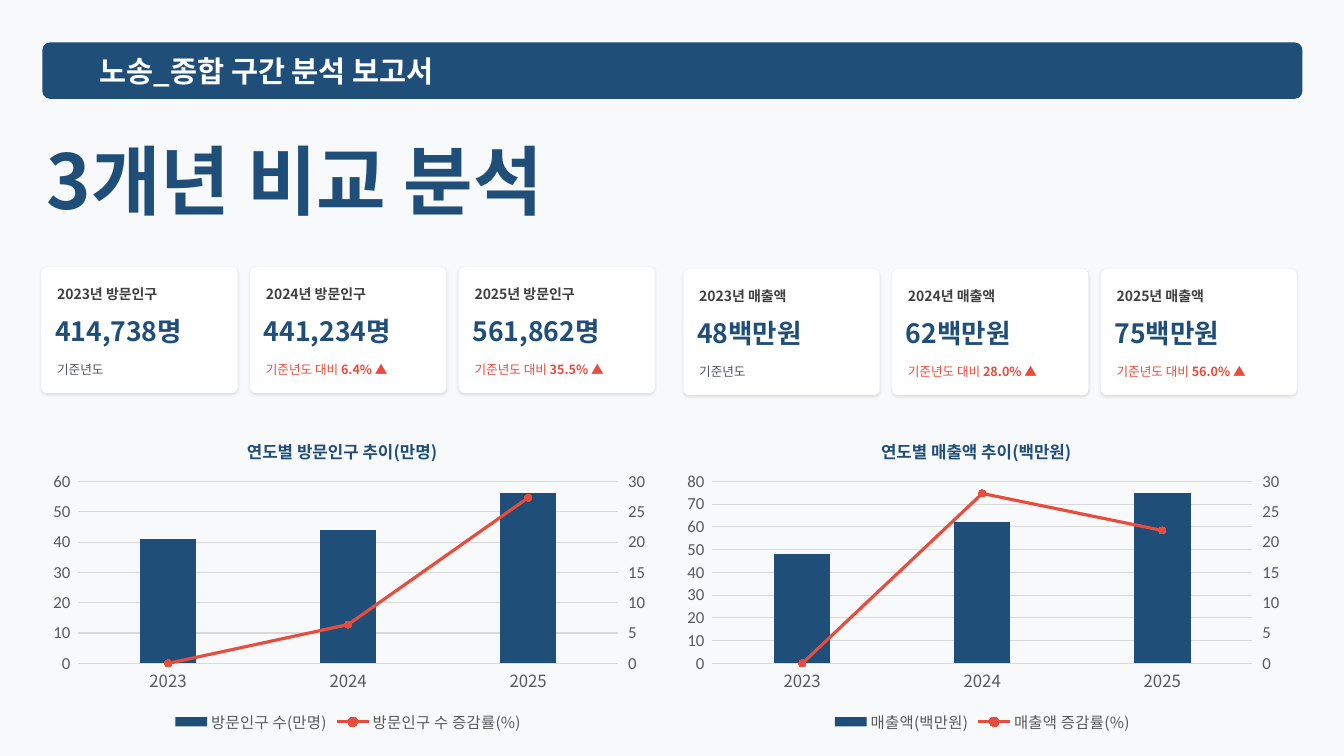
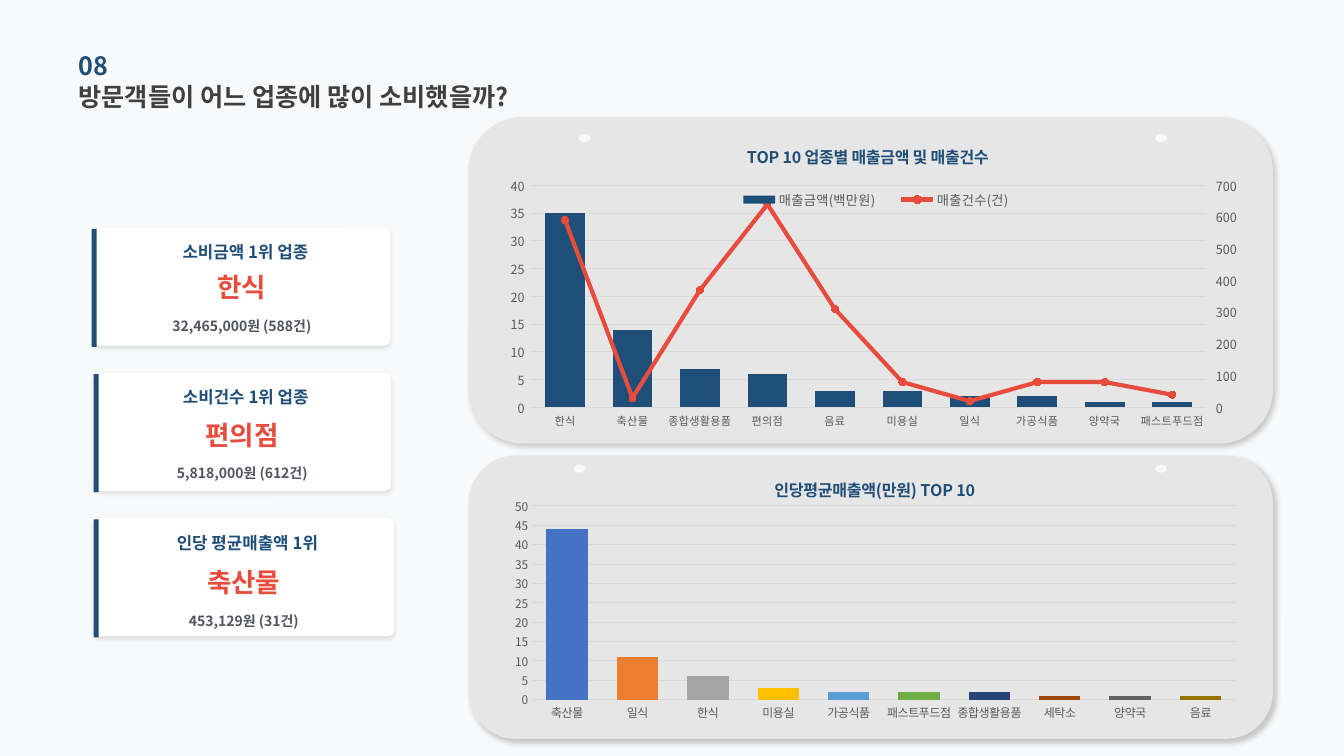
from copy import deepcopy
from dataclasses import dataclass

from pptx import Presentation
from pptx.chart.axis import ValueAxis
from pptx.chart.data import CategoryChartData
from pptx.dml.color import RGBColor
from pptx.enum.chart import XL_CHART_TYPE, XL_LEGEND_POSITION, XL_MARKER_STYLE, XL_TICK_MARK
from pptx.enum.shapes import MSO_SHAPE
from pptx.enum.text import MSO_ANCHOR, MSO_AUTO_SIZE, PP_ALIGN
from pptx.oxml import parse_xml
from pptx.oxml.ns import nsdecls, qn
from pptx.util import Cm, Pt


@dataclass(frozen=True)
class Theme:
    font: str = "Noto Sans CJK KR"
    digit: str = "Calibri"
    page: str = "F8F9FA"
    white: str = "FFFFFF"
    navy: str = "1F4E79"
    red: str = "E74C3C"
    dark: str = "404040"
    gray: str = "51545A"
    label: str = "595959"
    rule: str = "D9D9D9"
    panel: str = "E7E6E6"
    hues: tuple = ("4472C4", "ED7D31", "A5A5A5", "FFC000", "5B9BD5",
                   "70AD47", "264478", "9E480E", "636363", "997300")
    hero: float = 54
    band: float = 21
    value: float = 19
    head: float = 18
    sub: float = 12
    small: float = 10
    note: float = 9


T = Theme()


def rgb(code):
    return RGBColor.from_string(code)


def span(*box):
    return [Cm(v) for v in box]


def style(font, size, tint=T.label, bold=False, face=T.font):
    font.size, font.bold, font.name = Pt(size), bold, face
    font.color.rgb = rgb(tint)


def write(shape, words, tail="", size=T.small, tint=T.dark, bold=True, align=PP_ALIGN.LEFT):
    """Fill a shape with one line; the tail is always bold."""
    frame = shape.text_frame
    frame.word_wrap, frame.auto_size = True, MSO_AUTO_SIZE.NONE
    frame.vertical_anchor = MSO_ANCHOR.MIDDLE
    frame.margin_left = frame.margin_right = frame.margin_top = frame.margin_bottom = 0
    line = frame.paragraphs[0]
    line.alignment = align
    for part, heavy in ((words, bold), (tail, True)):
        if part:
            run = line.add_run()
            run.text = part
            style(run.font, size, tint, heavy)


def label(shapes, box, words, **form):
    write(shapes.add_textbox(*span(*box)), words, **form)


def head(slide, box, words, **form):
    title = slide.shapes.title
    title.left, title.top, title.width, title.height = span(*box)
    write(title, words, **form)


def block(shapes, kind, box, fill, round_by=None, shade=None):
    """Add a plain shape; shade is alpha %, blur pt, distance pt, angle."""
    shape = shapes.add_shape(kind, *span(*box))
    shape.fill.solid()
    shape.fill.fore_color.rgb = rgb(fill)
    shape.line.fill.background()
    shape.shadow.inherit = False
    if round_by is not None:
        shape.adjustments[0] = round_by
    if shade:
        alpha, blur, dist, turn = shade
        shape.element.spPr.find(qn("a:effectLst")).append(parse_xml(
            f'<a:outerShdw {nsdecls("a")} blurRad="{Pt(blur)}" dist="{Pt(dist)}" '
            f'dir="{turn * 60000}" algn="t" rotWithShape="0"><a:srgbClr val="000000">'
            f'<a:alpha val="{alpha * 1000}"/></a:srgbClr></a:outerShdw>'))
    return shape


def place(part, index, x, y, wide=None, high=None):
    """Give a chart title, legend or plot area a fixed layout."""
    for old in part.findall(qn("c:layout")):
        part.remove(old)
    inner = '<c:layoutTarget val="inner"/>' if part.tag == qn("c:plotArea") else ""
    size = f'<c:w val="{wide}"/><c:h val="{high}"/>' if wide else ""
    part.insert(index, parse_xml(
        f'<c:layout {nsdecls("c")}><c:manualLayout>{inner}<c:xMode val="edge"/>'
        f'<c:yMode val="edge"/><c:x val="{x}"/><c:y val="{y}"/>{size}'
        '</c:manualLayout></c:layout>'))


def scale(axis, top, step):
    axis.minimum_scale, axis.maximum_scale, axis.major_unit = 0, top, step


def pair(chart, top, step, fmt, width):
    """Turn the second series into a line on a right-hand axis."""
    area = chart.element.xpath("c:chart/c:plotArea")[0]
    bars, cat, val = (area.find(qn(f"c:{tag}")) for tag in ("barChart", "catAx", "valAx"))
    ser = bars.findall(qn("c:ser"))[1]
    for flag in ser.findall(qn("c:invertIfNegative")):
        ser.remove(flag)
    lines = parse_xml(
        f'<c:lineChart {nsdecls("c")}><c:grouping val="standard"/><c:varyColors val="0"/>'
        '<c:marker val="1"/><c:axId val="5001"/><c:axId val="5002"/></c:lineChart>')
    lines.insert(2, ser)
    bars.addnext(lines)
    right, base = deepcopy(val), deepcopy(cat)
    for axis, own, other in ((right, "5002", "5001"), (base, "5001", "5002")):
        axis.find(qn("c:axId")).set("val", own)
        axis.find(qn("c:crossAx")).set("val", other)
    base.find(qn("c:delete")).set("val", "1")
    right.find(qn("c:axPos")).set("val", "r")
    right.find(qn("c:crosses")).set("val", "max")
    val.addnext(right)
    right.addnext(base)
    side = ValueAxis(right)
    side.has_major_gridlines = False
    side.major_tick_mark = XL_TICK_MARK.OUTSIDE
    side.tick_labels.number_format = fmt
    scale(side, top, step)
    trend = chart.plots[1].series[0]
    trend.smooth = False
    trend.format.line.color.rgb = rgb(T.red)
    trend.format.line.width = Pt(width)
    trend.marker.style, trend.marker.size = XL_MARKER_STYLE.CIRCLE, 5
    trend.marker.format.fill.solid()
    trend.marker.format.fill.fore_color.rgb = rgb(T.red)
    trend.marker.format.line.color.rgb = rgb(T.red)


def graph(slide, box, title, cats, series, axis, plot, *, spot, sizes, right=None,
          fmt="General", face=T.font, gap=70, overlap=-27, legend=None, width=3):
    """Add a column chart; sizes are for title, categories, values and legend."""
    data = CategoryChartData()
    data.categories = cats
    for name, vals in series:
        data.add_series(name, vals)
    chart = slide.shapes.add_chart(XL_CHART_TYPE.COLUMN_CLUSTERED, *span(*box), data).chart
    chart.font.size, chart.font.name = Pt(T.small), T.digit
    chart.has_title = True
    frame = chart.chart_title.text_frame
    frame.text = title
    style(frame.paragraphs[0].runs[0].font, sizes[0], T.navy, True)
    place(chart.chart_title.element if hasattr(chart.chart_title, "element")
          else chart.element.xpath("c:chart/c:title")[0], 1, *spot)
    base, left = chart.category_axis, chart.value_axis
    for ax, size, kind in ((base, sizes[1], T.font), (left, sizes[2], face)):
        ax.major_tick_mark = XL_TICK_MARK.NONE
        style(ax.tick_labels.font, size, face=kind)
    base.format.line.color.rgb = rgb(T.rule)
    base.format.line.width = Pt(0.75)
    left.format.line.fill.background()
    left.major_gridlines.format.line.color.rgb = rgb(T.rule)
    left.major_gridlines.format.line.width = Pt(0.75)
    left.tick_labels.number_format = fmt
    left.tick_labels.number_format_is_linked = False
    scale(left, *axis)
    bars = chart.plots[0]
    bars.gap_width, bars.overlap, bars.vary_by_categories = gap, overlap, False
    chart.has_legend = right is not None
    if right:
        pair(chart, *right, width)
        fill = bars.series[0].format.fill
        fill.solid()
        fill.fore_color.rgb = rgb(T.navy)
        key = chart.legend
        key.position = XL_LEGEND_POSITION.TOP if legend else XL_LEGEND_POSITION.BOTTOM
        key.include_in_layout = False
        style(key.font, sizes[3])
        if legend:
            place(chart.element.xpath("c:chart/c:legend")[0], 1, *legend)
    else:
        for i, hue in enumerate(T.hues):
            fill = bars.series[0].points[i].format.fill
            fill.solid()
            fill.fore_color.rgb = rgb(hue)
    place(chart.element.xpath("c:chart/c:plotArea")[0], 0, *plot)


def stat(slide, x, y, name, value, rate, wide):
    """Add one yearly figure card."""
    shapes = slide.shapes
    block(shapes, MSO_SHAPE.ROUNDED_RECTANGLE, (x, y, 4.95, 3.18), T.white, 0.05, (10, 2, 1, 90))
    label(shapes, (x + 0.4, y + 0.46, wide, 0.45), name)
    label(shapes, (x + 0.35, y + 1.24, 4.95, 0.74), value, size=T.value, tint=T.navy)
    label(shapes, (x + 0.4, y + 2.31, 4.45, 0.53), "기준년도 대비 " if rate else "기준년도",
          tail=f"{rate} ▲" if rate else "", size=T.note,
          tint=T.red if rate else T.gray, bold=False)


def rank(slide, y, wide, edge, drop, name, winner, total):
    """Add one first-place card with its side bar."""
    shapes, x = slide.shapes.add_group_shape().shapes, 2.36
    block(shapes, MSO_SHAPE.ROUNDED_RECTANGLE, (x, y, wide, 2.97), T.white, 0.05, (10, 3, 2, 90))
    for dx, dy, high, words, size, tint in (
            (0.09, 0.33, 0.56, name, T.sub, T.navy),
            (0, 1.07 + drop, 0.86, winner, T.value, T.red),
            (0, 2.26 + drop, 0.43, total, T.small, T.gray)):
        label(shapes, (x + dx, y + dy, wide, high), words, size=size, tint=tint,
              align=PP_ALIGN.CENTER)
    block(slide.shapes, MSO_SHAPE.RECTANGLE, (edge, y + 0.03, 0.13, 2.97), T.navy)


def years(slide):
    head(slide, (1.17, 3.12, 16.05, 2.77), "3개년 비교 분석", size=T.hero, tint=T.navy)
    block(slide.shapes, MSO_SHAPE.ROUNDED_RECTANGLE, (1.07, 1.07, 31.75, 1.42), T.navy, 0.13)
    label(slide.shapes, (2.51, 1.24, 28.83, 1.09), "노송_종합 구간 분석 보고서",
          size=T.band, tint=T.white)
    cats = ("2023", "2024", "2025")
    halves = (
        (1.04, 6.73, 1.04, "방문인구", ("414,738명", "441,234명", "561,862명"),
         ("", "6.4%", "35.5%"), "연도별 방문인구 추이(만명)", "방문인구 수(만명)", (41, 44, 56),
         "방문인구 수 증감률(%)", (0, 6.4, 27.3), 60, r"#,##0_);[Red]\(#,##0\)"),
        (17.22, 6.78, 17.02, "매출액", ("48백만원", "62백만원", "75백만원"),
         ("", "28.0%", "56.0%"), "연도별 매출액 추이(백만원)", "매출액(백만원)", (48, 62, 75),
         "매출액 증감률(%)", (0, 28, 21.9), 80, "#,##0_ "))
    for x, y, left, topic, values, rates, title, name, vals, rate, trend, top, fmt in halves:
        for i, year in enumerate(cats):
            narrow = topic == "방문인구" and year == "2025"
            stat(slide, x + 5.26 * i, y, f"{year}년 {topic}", values[i], rates[i],
                 2.6 if narrow else 3.3)
        graph(slide, (left, 10.52, 15.47, 8.05), title, cats, ((name, vals), (rate, trend)),
              (top, 10), (0.06, 0.2, 0.88, 0.57), spot=(0.33, 0.05),
              sizes=(T.sub, 12, 12, 11), right=(30, 5, "General"), fmt=fmt, face=T.digit,
              gap=219, overlap=0, width=2.25)


def trades(slide):
    head(slide, (1.98, 1.91, 11.48, 1.04), "방문객들이 어느 업종에 많이 소비했을까?", size=T.head)
    label(slide.shapes, (1.98, 1.12, 11.48, 1.04), "08", size=T.head, tint=T.navy)
    for y, high in ((11.48, 7.14), (2.95, 8.23)):
        block(slide.shapes, MSO_SHAPE.ROUNDED_RECTANGLE, (11.81, y, 20.27, high), T.panel,
              shade=(20, 4, 3, 45))
    cards = (
        (7.47, 2.31, 0, "소비금액 1위 업종", "한식", "32,465,000원 (588건)"),
        (7.49, 2.36, 0.05, "소비건수 1위 업종", "편의점", "5,818,000원 (612건)"),
        (7.57, 2.36, 0.1, "인당 평균매출액 1위", "축산물", "453,129원 (31건)"))
    for i, card in enumerate(cards):
        rank(slide, 5.74 + 3.66 * i, *card)
    graph(slide, (12.65, 3.15, 18.59, 8), "TOP 10 업종별 매출금액 및 매출건수",
          ("한식", "축산물", "종합생활용품", "편의점", "음료", "미용실", "일식", "가공식품",
           "양약국", "패스트푸드점"),
          (("매출금액(백만원)", (35, 14, 7, 6, 3, 3, 2, 2, 1, 1)),
           ("매출건수(건)", (590, 30, 370, 640, 310, 80, 20, 80, 80, 40))),
          (40, 5), (0.04, 0.19, 0.92, 0.7), spot=(0.33, 0.05), sizes=(11.5, 8, 9, 9.5),
          right=(700, 100, "#,##0_ "), fmt="#,##0_ ", legend=(0.3, 0.2, 0.42, 0.07))
    graph(slide, (12.65, 11.53, 18.87, 6.78), "인당평균매출액(만원) TOP 10",
          ("축산물", "일식", "한식", "미용실", "가공식품", "패스트푸드점", "종합생활용품",
           "세탁소", "양약국", "음료"),
          (("Series 1", (44, 11, 6, 3, 2, 2, 2, 1, 1, 1)),),
          (50, 5), (0.04, 0.18, 0.94, 0.72), spot=(0.36, 0.06), sizes=(11.5, 8.5, 8.5))
    for x, y in ((14.58, 3.38), (29.11, 3.38), (29.11, 11.71), (14.45, 11.71)):
        block(slide.shapes, MSO_SHAPE.OVAL, (x, y, 0.3, 0.2), T.page)


def hangul(slide):
    """Use each run's face for its East Asian letters too."""
    for shape in slide.shapes:
        root = shape.chart.element if shape.has_chart else shape.element
        for latin in list(root.iter(qn("a:latin"))):
            face = latin.get("typeface")
            latin.addnext(parse_xml(f'<a:ea {nsdecls("a")} typeface="{face}"/>'))


def main():
    deck = Presentation()
    deck.slide_width, deck.slide_height = span(33.87, 19.05)
    back = deck.slide_master.background.fill
    back.solid()
    back.fore_color.rgb = rgb(T.page)
    for build in (years, trades):
        slide = deck.slides.add_slide(deck.slide_layouts.get_by_name("Title Only"))
        build(slide)
        hangul(slide)
    deck.save("out.pptx")


if __name__ == "__main__":
    main()
